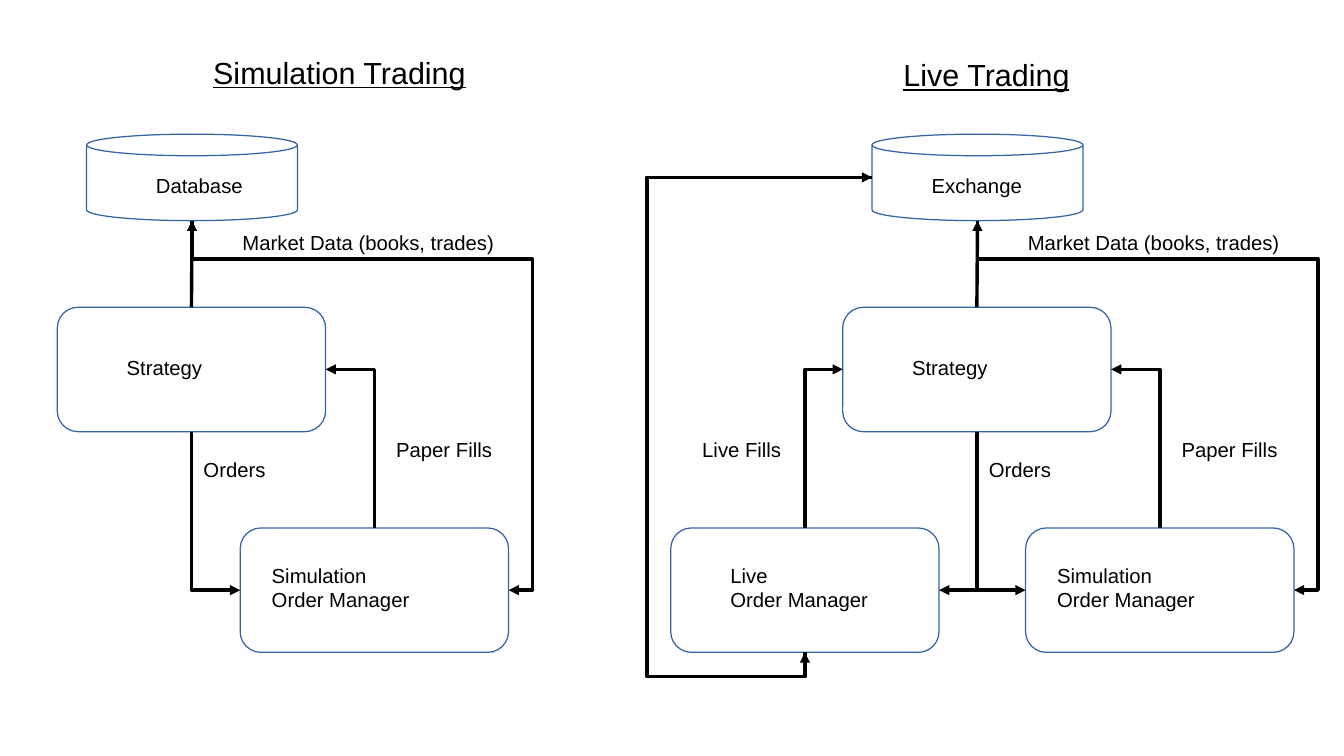
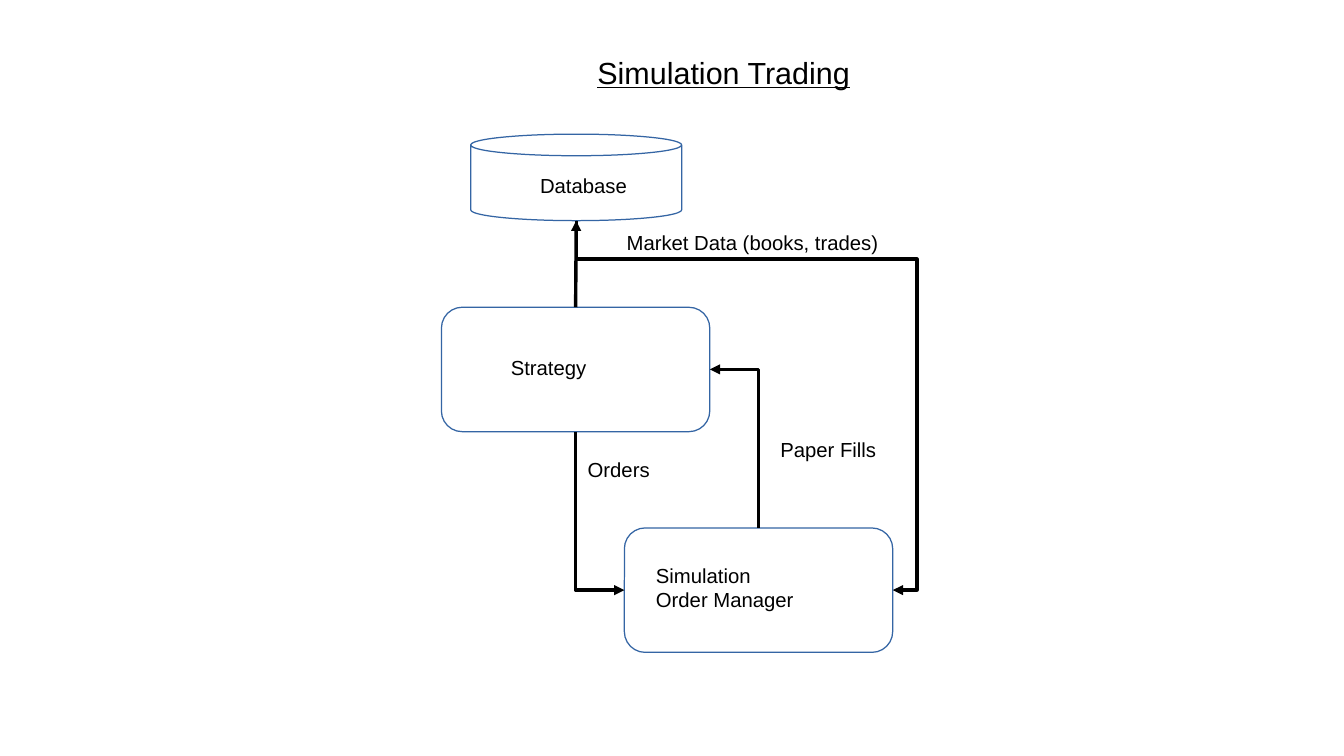
"""Draw the simulation and live trading flow diagrams."""
from lxml import etree
from pptx import Presentation
from pptx import util as u
from pptx.dml.color import RGBColor
from pptx.enum import shapes, text
from pptx.oxml import ns

BLACK, OUTLINE, PAPER = "000000", "3465A4", "FFFFFF"
FONT = "Arial"
ROUND, CAN = shapes.MSO_SHAPE.ROUNDED_RECTANGLE, shapes.MSO_SHAPE.CAN
SIDES = {"top": (0.5, 0), "left": (0, 0.5), "bottom": (0.5, 1), "right": (1, 0.5)}
SITES = {
    ROUND: {"top": 0, "left": 1, "bottom": 2, "right": 3},
    CAN: {"top": 1, "left": 2, "bottom": 3},
}


def add_label(slide, words, x, y, width, height=0.29, size=12, underline=None):
    label = slide.shapes.add_textbox(u.Inches(x), u.Inches(y), u.Inches(width), u.Inches(height))
    frame = label.text_frame
    frame.word_wrap = True
    frame.auto_size = text.MSO_AUTO_SIZE.SHAPE_TO_FIT_TEXT
    frame.text = words
    for line in frame.paragraphs:
        line.font.name, line.font.size = FONT, u.Pt(size)
        line.font.color.rgb = RGBColor.from_string(BLACK)
        line.font.underline = underline


def add_arrow(slide, source, source_side, target, target_side, turn=0, flips="", bends=()):
    kind = shapes.MSO_CONNECTOR.ELBOW if turn else shapes.MSO_CONNECTOR.STRAIGHT
    (x1, y1), (x2, y2) = [
        (node.left + int(node.width * SIDES[side][0]), node.top + int(node.height * SIDES[side][1]))
        for node, side in ((source, source_side), (target, target_side))
    ]
    arrow = slide.shapes.add_connector(kind, x1, y1, x2, y2)
    arrow.begin_connect(source, SITES[source.auto_shape_type][source_side])
    arrow.end_connect(target, SITES[target.auto_shape_type][target_side])
    arrow.begin_x, arrow.begin_y, arrow.end_x, arrow.end_y = x1, y1, x2, y2
    arrow.line.color.rgb = RGBColor.from_string(BLACK)
    arrow.line.width = u.Pt(0)
    properties = arrow._element.spPr
    if turn:
        width, height = abs(x2 - x1), abs(y2 - y1)
        if turn in (90, 270):
            width, height = height, width
        arrow.left, arrow.top = (x1 + x2 - width) // 2, (y1 + y2 - height) // 2
        arrow.width, arrow.height = width, height
        frame = properties.find(ns.qn("a:xfrm"))
        frame.set("rot", str(turn * 60000))
        frame.set("flipH", str(int("h" in flips)))
        frame.set("flipV", str(int("v" in flips)))
        geometry = properties.find(ns.qn("a:prstGeom"))
        geometry.set("prst", "bentConnector4" if bends else "bentConnector2")
        guides = geometry.find(ns.qn("a:avLst"))
        for number, bend in enumerate(bends, 1):
            etree.SubElement(guides, ns.qn("a:gd"), name=f"adj{number}", fmla=f"val {bend}")
    etree.SubElement(properties.find(ns.qn("a:ln")), ns.qn("a:tailEnd"), type="triangle")
    etree.SubElement(properties, ns.qn("a:effectLst"))


deck = Presentation()
deck.slide_width, deck.slide_height = u.Inches(11.02), u.Inches(6.2)
overview, simulation = [deck.slides.add_slide(deck.slide_layouts[6]) for _ in range(2)]
for slide in (overview, simulation):
    slide.background.fill.solid()
    slide.background.fill.fore_color.rgb = RGBColor.from_string(PAPER)

panels = [
    (overview, 6.91, "Live Trading", 0.4, 0.41, "Exchange", 0.63),
    (overview, 0.47, "Simulation Trading", 1.18, 0.39, "Database", 0.71),
    (simulation, 3.62, "Simulation Trading", 1.18, 0.39, "Database", 0.71),
]
for slide, left, title, title_x, title_y, store_name, store_name_x in panels:
    live = store_name == "Exchange"
    places = {
        "store": (CAN, 0.24, 1.1, 1.73, 0.71),
        "strategy": (ROUND, 0, 2.52, 2.2, 1.02),
        "simulator": (ROUND, 1.5, 4.33, 2.2, 1.02),
    }
    labels = [
        (store_name, store_name_x, 1.37, 1.42),
        ("Strategy", 0.47, 2.86, 1.57),
        ("Simulation\nOrder Manager", 1.66, 4.57, 1.57, 0.47),
        ("Orders", 1.1, 3.7, 1.02),
        ("Market Data (books, trades)", 1.42, 1.84, 2.44),
        ("Paper Fills", 2.68, 3.54, 1.1),
        (title, title_x, title_y, 2.6, 0.38, 18, True),
    ]
    arrows = [
        ("strategy", "top", "store", "bottom"),
        ("strategy", "bottom", "simulator", "left", 270, "h"),
        ("store", "bottom", "simulator", "right", 270, "h", (10400, 107600)),
        ("simulator", "top", "strategy", "right", 270, "v"),
    ]
    if live:
        places["manager"] = (ROUND, -1.41, 4.33, 2.2, 1.02)
        labels += [
            ("Live\nOrder Manager", -1.02, 4.57, 1.57, 0.47),
            ("Live Fills", -1.25, 3.54, 0.94),
        ]
        arrows += [
            ("strategy", "bottom", "manager", "right", 90),
            ("manager", "top", "strategy", "left", 90, "hv"),
            ("manager", "bottom", "store", "left", 90, "hv", (-5100, -235800)),
            ("store", "left", "manager", "bottom", 180, "v", (335800, 105100)),
        ]

    nodes = {}
    for name, (kind, x, y, width, height) in places.items():
        node = slide.shapes.add_shape(
            kind, u.Inches(left + x), u.Inches(y), u.Inches(width), u.Inches(height))
        node.shadow.inherit = False
        node.fill.background()
        node.line.color.rgb = RGBColor.from_string(OUTLINE)
        node.line.width = u.Pt(0)
        nodes[name] = node
    for words, x, *rest in labels:
        add_label(slide, words, left + x, *rest)
    for source, source_side, target, target_side, *route in arrows:
        add_arrow(slide, nodes[source], source_side, nodes[target], target_side, *route)

deck.save("out.pptx")
